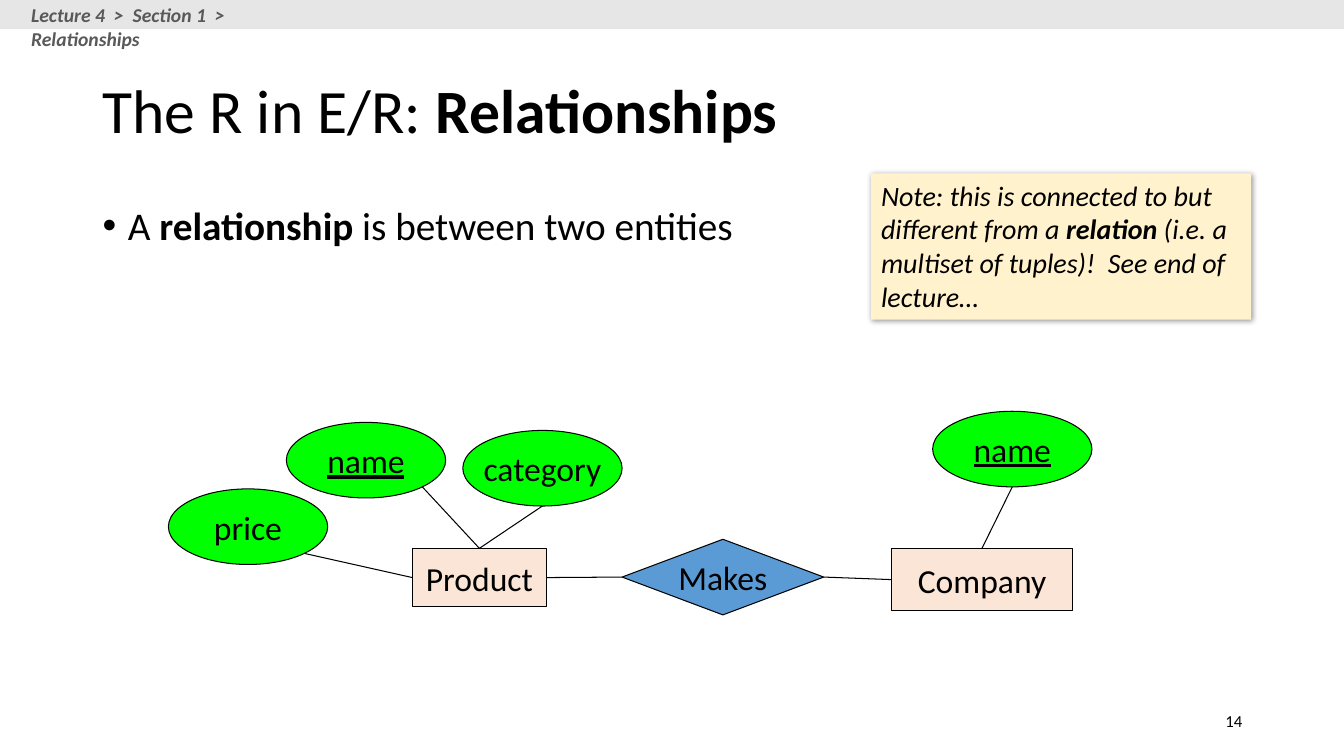
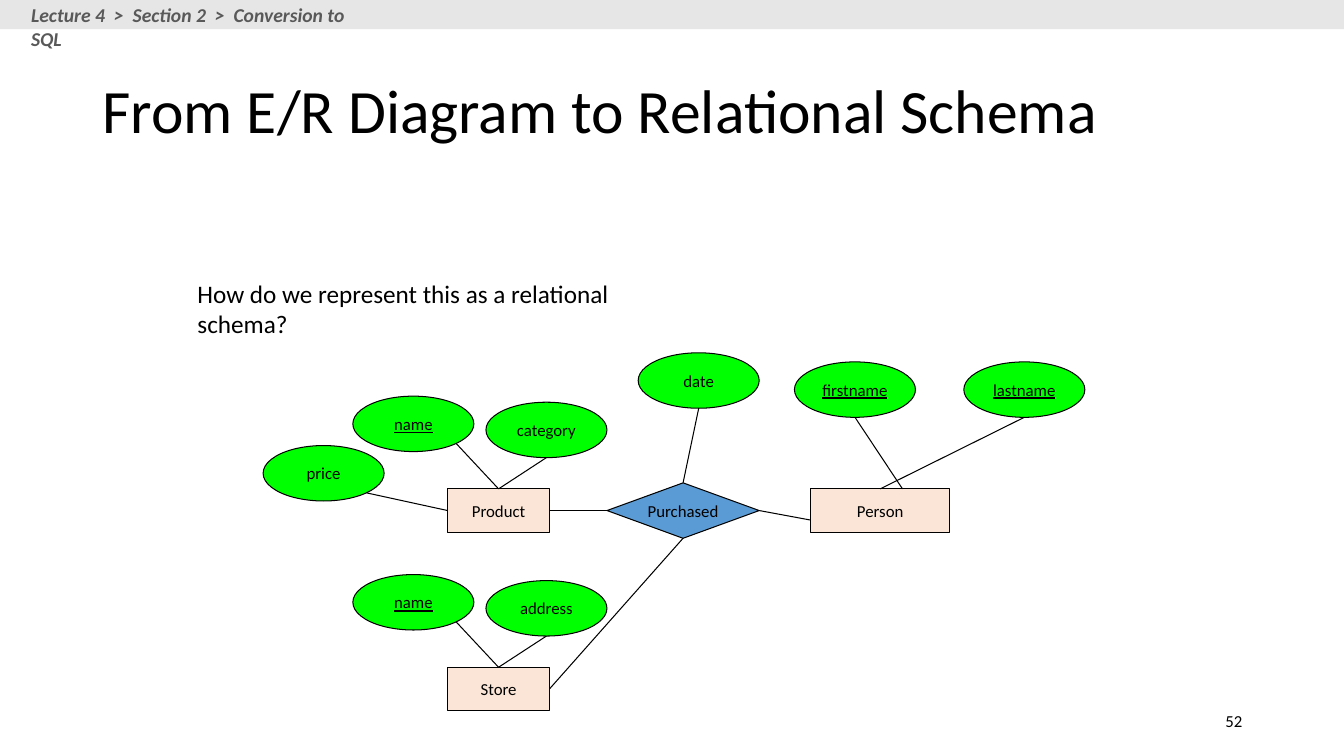
from dataclasses import dataclass

from lxml import etree
from pptx import Presentation
from pptx.dml.color import RGBColor
from pptx.enum.shapes import MSO_CONNECTOR, MSO_SHAPE
from pptx.enum.text import MSO_ANCHOR, PP_ALIGN
from pptx.oxml.ns import qn
from pptx.util import Inches, Pt

RECT, OVAL, GEM = MSO_SHAPE.RECTANGLE, MSO_SHAPE.OVAL, MSO_SHAPE.DIAMOND
STRAIGHT = MSO_CONNECTOR.STRAIGHT
FRONT, CENTER, END = PP_ALIGN.LEFT, PP_ALIGN.CENTER, PP_ALIGN.RIGHT
HIGH, MIDDLE = MSO_ANCHOR.TOP, MSO_ANCHOR.MIDDLE

BLACK = RGBColor(0x00, 0x00, 0x00)
GRAY = RGBColor(0x59, 0x59, 0x59)
SILVER = RGBColor(0xE7, 0xE6, 0xE6)
GREEN = RGBColor(0x00, 0xFF, 0x00)
BLUE = RGBColor(0x5B, 0x9B, 0xD5)
PEACH = RGBColor(0xFB, 0xE5, 0xD6)
CREAM = RGBColor(0xFF, 0xF2, 0xCC)
FILLS = {RECT: PEACH, OVAL: GREEN, GEM: BLUE}

FONT = "Calibri"
WIDE, TALL = 13.33, 7.5
BOLD = {"bold": True}
SLANT = {"italic": True}
HEAVY = {**BOLD, **SLANT}
UNDER = {"underline": True}

TOP, LEFT, BOTTOM, RIGHT = (0.5, 0), (0, 0.5), (0.5, 1), (1, 0.5)
CORNER = (0.854, 0.854)
SITES = {TOP: 0, LEFT: 1, BOTTOM: 2, RIGHT: 3}

Box = tuple[float, float, float, float]
Spot = tuple[float, float]
Runs = list[tuple[str, dict]]


@dataclass(frozen=True)
class Look:
    size: int
    color: RGBColor = BLACK
    align: PP_ALIGN = FRONT
    anchor: MSO_ANCHOR = HIGH
    space: float = 1.0
    wrap: bool = True


@dataclass(frozen=True)
class Node:
    key: str
    text: str
    kind: MSO_SHAPE
    box: Box
    form: dict


@dataclass(frozen=True)
class Link:
    start: str
    leave: Spot
    goal: str
    reach: Spot


TITLE = Look(44, anchor=MIDDLE, space=0.9)
BODY = Look(28, space=0.9)
CRUMB = Look(14, GRAY)
NUMBER = Look(12, align=END, anchor=MIDDLE)


def write(shape, runs: Runs, look: Look, bullet: bool = False) -> None:
    frame = shape.text_frame
    frame.word_wrap = look.wrap
    frame.vertical_anchor = look.anchor
    line = frame.paragraphs[0]
    line.alignment = look.align
    line.line_spacing = look.space
    if bullet:
        props = line._p.get_or_add_pPr()
        props.set("marL", str(Inches(0.25)))
        props.set("indent", str(Inches(-0.25)))
        etree.SubElement(props, qn("a:buFont"), typeface="Arial")
        etree.SubElement(props, qn("a:buChar"), char="•")
    for text, form in runs:
        run = line.add_run()
        run.text = text
        values = {"name": FONT, "size": Pt(look.size), **form}
        for name, value in values.items():
            setattr(run.font, name, value)
        run.font.color.rgb = look.color


def label(slide, box: Box, runs: Runs, look: Look, bullet: bool = False) -> None:
    write(slide.shapes.add_textbox(*map(Inches, box)), runs, look, bullet)


def block(slide, kind: MSO_SHAPE, box: Box, fill: RGBColor):
    shape = slide.shapes.add_shape(kind, *map(Inches, box))
    shape.shadow.inherit = False
    shape.fill.solid()
    shape.fill.fore_color.rgb = fill
    shape.line.fill.background()
    return shape


def note(slide, box: Box, runs: Runs) -> None:
    shape = block(slide, RECT, box, CREAM)
    effects = shape._element.spPr.find(qn("a:effectLst"))
    shade = etree.SubElement(
        effects, qn("a:outerShdw"), blurRad=str(Pt(4)), dist=str(Pt(1)),
        dir="2700000", algn="tl", rotWithShape="0")
    color = etree.SubElement(shade, qn("a:srgbClr"), val=str(BLACK))
    etree.SubElement(color, qn("a:alpha"), val="40000")
    write(shape, runs, Look(20))


def stroke(item) -> None:
    item.line.color.rgb = BLACK
    item.line.width = Pt(0.75)


def place(shape, spot: Spot) -> tuple[int, int]:
    return (int(shape.left + shape.width * spot[0]),
            int(shape.top + shape.height * spot[1]))


def connect(slide, link: Link, shapes: dict) -> None:
    start, goal = shapes[link.start], shapes[link.goal]
    wire = slide.shapes.add_connector(
        STRAIGHT, *place(start, link.leave), *place(goal, link.reach))
    stroke(wire)
    etree.SubElement(wire._element.spPr, qn("a:effectLst"))
    ends = ((start, link.leave, wire.begin_connect),
            (goal, link.reach, wire.end_connect))
    for shape, spot, join in ends:
        if shape.auto_shape_type != OVAL and spot in SITES:
            join(shape, SITES[spot])


def chart(slide, nodes: list[Node], links: list[Link], size: int) -> None:
    look = Look(size, align=CENTER, anchor=MIDDLE, wrap=False)
    shapes = {}
    for node in nodes:
        shape = block(slide, node.kind, node.box, FILLS[node.kind])
        stroke(shape)
        write(shape, [(node.text, node.form)], look)
        shapes[node.key] = shape
    for link in links:
        connect(slide, link, shapes)


def make(kind: MSO_SHAPE, text: str, box: Box) -> Node:
    return Node(text, text, kind, box, {})


def oval(text: str, left: float, top: float, size: Spot,
         form: dict = {}, key: str = "") -> Node:
    return Node(key or text, text, OVAL, (left, top, *size), form)


def pair(owner: str, other: str) -> list[Link]:
    return [Link(owner + " name", CORNER, owner, TOP),
            Link(other, BOTTOM, owner, TOP)]


def page(deck, crumb: str, width: float, title: Runs, number: str):
    slide = deck.slides.add_slide(deck.slide_layouts[6])
    block(slide, RECT, (0, 0, WIDE, 0.29), SILVER)
    label(slide, (0.21, -0.02, width, 0.34), [(crumb, HEAVY)], CRUMB)
    label(slide, (0.92, 0.4, 11.5, 1.45), title, TITLE)
    label(slide, (9.42, 6.95, 3, 0.4), [(number, {})], NUMBER)
    return slide


def relate(deck) -> None:
    slide = page(deck, "Lecture 4  >  Section 1  >  Relationships", 3.23,
                 [("The R in E/R: ", {}), ("Relationships", BOLD)], "14")
    label(slide, (0.92, 2, 11.5, 4.76),
          [("A ", {}), ("relationship", BOLD),
           (" is between two entities", {})], BODY, bullet=True)
    size = (1.58, 0.75)
    nodes = [
        make(GEM, "Makes", (6.17, 5.35, 2, 0.75)),
        make(RECT, "Product", (4.09, 5.44, 1.33, 0.58)),
        make(RECT, "Company", (8.84, 5.44, 1.8, 0.62)),
        oval("name", 2.84, 4.19, size, UNDER, "Product name"),
        oval("category", 4.59, 4.27, size),
        oval("price", 1.67, 4.85, size),
        oval("name", 9.25, 4.08, size, UNDER, "Company name"),
    ]
    links = [
        *pair("Product", "category"),
        Link("price", CORNER, "Product", LEFT),
        Link("Company name", BOTTOM, "Company", TOP),
        Link("Product", RIGHT, "Makes", LEFT),
        Link("Makes", RIGHT, "Company", LEFT),
    ]
    chart(slide, nodes, links, 24)
    note(slide, (8.64, 1.72, 3.77, 1.45),
         [("Note: this is connected to but different from a ", SLANT),
          ("relation", HEAVY),
          (" (i.e. a multiset of tuples)!  See end of lecture…", SLANT)])


def convert(deck) -> None:
    slide = page(deck, "Lecture 4  >  Section 2  >  Conversion to SQL", 3.6,
                 [("From E/R Diagram to Relational Schema", {})], "52")
    label(slide, (1.86, 2.71, 4.36, 0.71),
          [("How do we represent this as a relational schema?", {})], Look(18))
    size = (1.2, 0.55)
    nodes = [
        make(GEM, "Purchased", (6.02, 4.79, 1.51, 0.55)),
        make(RECT, "Person", (8.04, 4.85, 1.38, 0.43)),
        oval("price", 2.61, 4.42, size),
        oval("date", 6.33, 3.5, size),
        oval("firstname", 7.88, 3.59, size, UNDER),
        oval("lastname", 9.56, 3.59, size, UNDER),
    ]
    links = [
        Link("price", CORNER, "Product", LEFT),
        Link("Product", RIGHT, "Purchased", LEFT),
        Link("Purchased", RIGHT, "Person", (0, 0.72)),
        Link("date", BOTTOM, "Purchased", TOP),
        Link("firstname", BOTTOM, "Person", (0.66, 0)),
        Link("lastname", BOTTOM, "Person", TOP),
        Link("Store", RIGHT, "Purchased", BOTTOM),
    ]
    for owner, other, top in (("Product", "category", 4.85),
                              ("Store", "address", 6.62)):
        nodes += [
            make(RECT, owner, (4.44, top, 1.01, 0.43)),
            oval("name", 3.5, top - 0.92, size, UNDER, owner + " name"),
            oval(other, 4.82, top - 0.86, size),
        ]
        links += pair(owner, other)
    chart(slide, nodes, links, 12)


def main() -> None:
    deck = Presentation()
    deck.slide_width, deck.slide_height = Inches(WIDE), Inches(TALL)
    relate(deck)
    convert(deck)
    deck.save("out.pptx")


if __name__ == "__main__":
    main()
